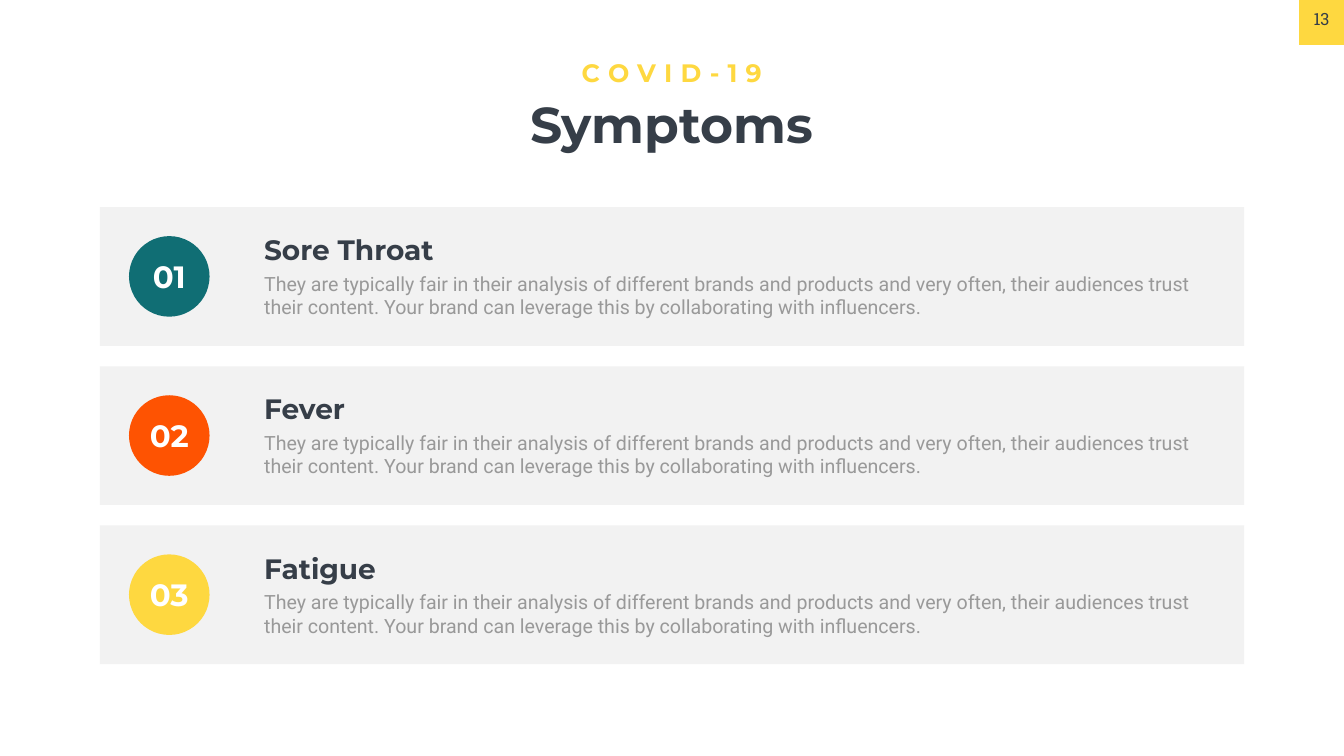
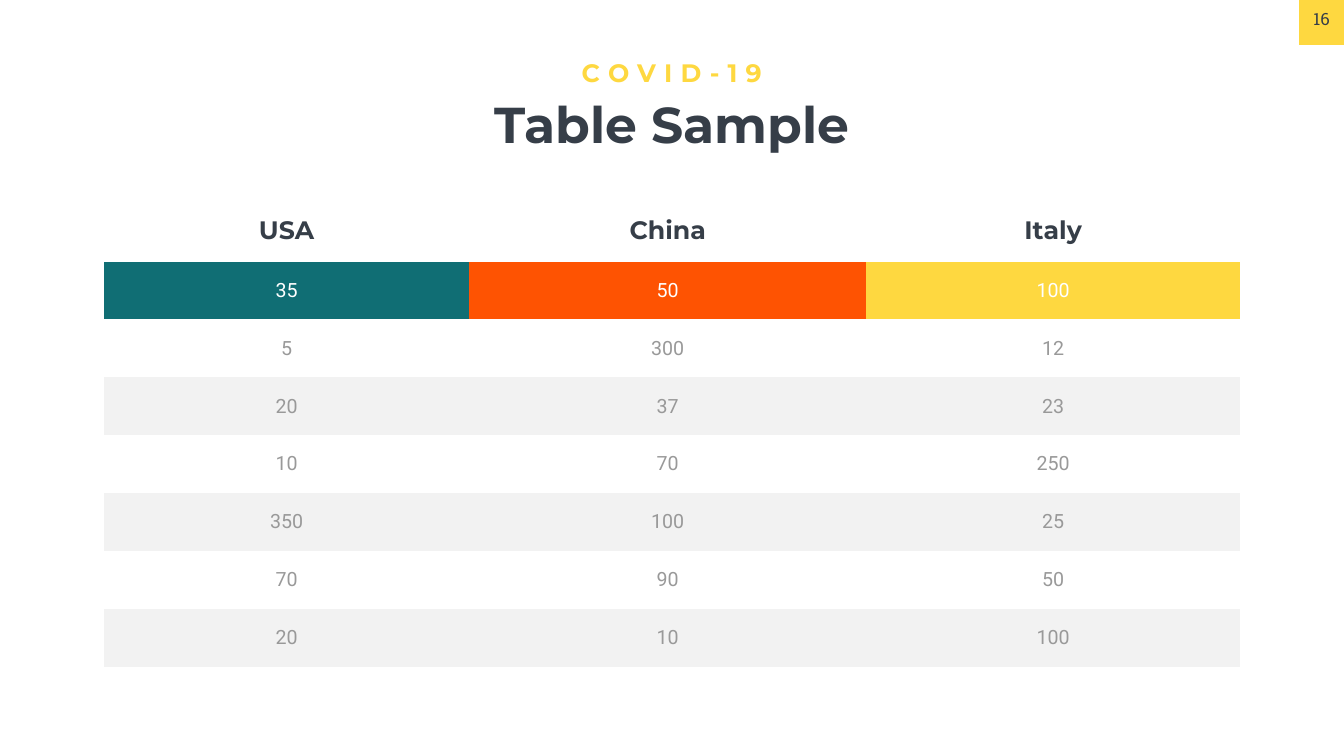
from pptx import Presentation
from pptx.dml.color import RGBColor
from pptx.enum.shapes import MSO_SHAPE as Shape
from pptx.enum.text import MSO_ANCHOR as Anchor, PP_ALIGN as Align
from pptx.oxml.ns import qn
from pptx.util import Cm, Pt

TEAL, ORANGE, YELLOW = ACCENTS = ("106E74", "FE5302", "FED840")
DARK, GREY, PALE, WHITE = "363E48", "999999", "F2F2F2", "FFFFFF"
HEADING, BODY, NUMBER = "Montserrat", "Roboto", "Roboto Slab"
NO_STYLE_NO_GRID = "{2D5ABB26-0587-4C30-8999-92F81FD0307C}"

SLIDE_WIDTH, SLIDE_HEIGHT = 67.72, 38.1
TAB_SIZE = 2.26

OVERLINE = "COVID-19"
SYMPTOM_TEXT = (
    "They are typically fair in their analysis of different brands and products "
    "and very often, their audiences trust their content. Your brand can leverage "
    "this by collaborating with influencers."
)
SYMPTOMS = ["Sore Throat", "Fever", "Fatigue"]

COUNTRIES = ["USA", "China", "Italy"]
VALUES = [
    (35, 50, 100),
    (5, 300, 12),
    (20, 37, 23),
    (10, 70, 250),
    (350, 100, 25),
    (70, 90, 50),
    (20, 10, 100),
]
COLUMN_WIDTHS = [18.42, 19.99, 18.85]
HEADER_HEIGHT, ROW_HEIGHT = 3.12, 2.92


def rgb(color):
    return RGBColor.from_string(color)


def write(frame, text, size, font_name, color, bold=False, align=Align.CENTER):
    paragraph = frame.paragraphs[0]
    paragraph.text = text
    paragraph.alignment = align
    font = paragraph.font
    font.size, font.name, font.bold = Pt(size), font_name, bold
    font.color.rgb = rgb(color)


def add_text(shapes, box, text, size, font_name, color, wrap=True, **style):
    text_box = shapes.add_textbox(*map(Cm, box))
    text_box.text_frame.word_wrap = wrap
    write(text_box.text_frame, text, size, font_name, color, **style)
    return text_box


def add_block(shapes, kind, box, color):
    block = shapes.add_shape(kind, *map(Cm, box))
    block.shadow.inherit = False
    block.fill.solid()
    block.fill.fore_color.rgb = rgb(color)
    block.line.fill.background()
    return block


def add_page(presentation, title, number):
    slide = presentation.slides.add_slide(presentation.slide_layouts[6])
    tab_left = SLIDE_WIDTH - TAB_SIZE
    add_block(slide.shapes, Shape.RECTANGLE, (tab_left, 0, TAB_SIZE, TAB_SIZE), YELLOW)
    add_text(slide.shapes, (tab_left, 0.33, TAB_SIZE, 1.55), str(number),
             24, NUMBER, DARK, wrap=False)

    heading = slide.shapes.add_group_shape().shapes
    add_text(heading, (10.19, 4.55, 47.32, 3.33), title, 72, HEADING, DARK, bold=True)
    overline = add_text(heading, (28.75, 2.74, 10.21, 1.8), OVERLINE,
                        36, HEADING, YELLOW, wrap=False, bold=True)
    for properties in overline.element.iter(qn("a:defRPr"), qn("a:rPr")):
        properties.set("spc", "1200")
    return slide


def add_symptoms(slide):
    tops = [10.44 + 8.02 * index for index in range(len(SYMPTOMS))]
    for top in tops:
        add_block(slide.shapes, Shape.RECTANGLE, (5.03, top, 57.66, 6.99), PALE)
    for index, (top, color) in enumerate(zip(tops, ACCENTS), 1):
        circle = add_block(slide.shapes, Shape.OVAL, (6.5, top + 1.46, 4.06, 4.06), color)
        circle.text_frame.vertical_anchor = Anchor.MIDDLE
        write(circle.text_frame, f"{index:02}", 44, HEADING, WHITE, bold=True)
    for top, name in zip(tops, SYMPTOMS):
        entry = slide.shapes.add_group_shape().shapes
        add_text(entry, (13.06, top + 3.13, 47.19, 2.64), SYMPTOM_TEXT,
                 28, BODY, GREY, align=Align.LEFT)
        add_text(entry, (13.06, top + 1.17, 20.09, 1.96), name,
                 40, HEADING, DARK, bold=True, align=Align.LEFT)


def add_country_table(slide):
    rows = [COUNTRIES, *VALUES]
    heights = [HEADER_HEIGHT] + [ROW_HEIGHT] * len(VALUES)
    box = (5.23, 10.06, sum(COLUMN_WIDTHS), sum(heights))
    frame = slide.shapes.add_table(len(rows), len(COUNTRIES), *map(Cm, box))
    for style_id in frame.element.iter(qn("a:tableStyleId")):
        style_id.text = NO_STYLE_NO_GRID
    table = frame.table
    table.first_row = table.horz_banding = False
    for column, width in zip(table.columns, COLUMN_WIDTHS):
        column.width = Cm(width)

    for row_index, (values, height) in enumerate(zip(rows, heights)):
        table.rows[row_index].height = Cm(height)
        for column_index, value in enumerate(values):
            cell = table.cell(row_index, column_index)
            cell.vertical_anchor = Anchor.MIDDLE
            cell.margin_left = cell.margin_right = Cm(0.89)
            cell.margin_top = cell.margin_bottom = Cm(0.46)
            if row_index == 0:
                fill, style = WHITE, (36, HEADING, DARK, True)
            elif row_index == 1:
                fill, style = ACCENTS[column_index], (28, BODY, WHITE)
            else:
                fill, style = (PALE if row_index % 2 else WHITE), (28, BODY, GREY)
            cell.fill.solid()
            cell.fill.fore_color.rgb = rgb(fill)
            write(cell.text_frame, str(value), *style)


def main():
    presentation = Presentation()
    presentation.slide_width = Cm(SLIDE_WIDTH)
    presentation.slide_height = Cm(SLIDE_HEIGHT)
    add_symptoms(add_page(presentation, "Symptoms", 13))
    add_country_table(add_page(presentation, "Table Sample", 16))
    presentation.save("out.pptx")


if __name__ == "__main__":
    main()
